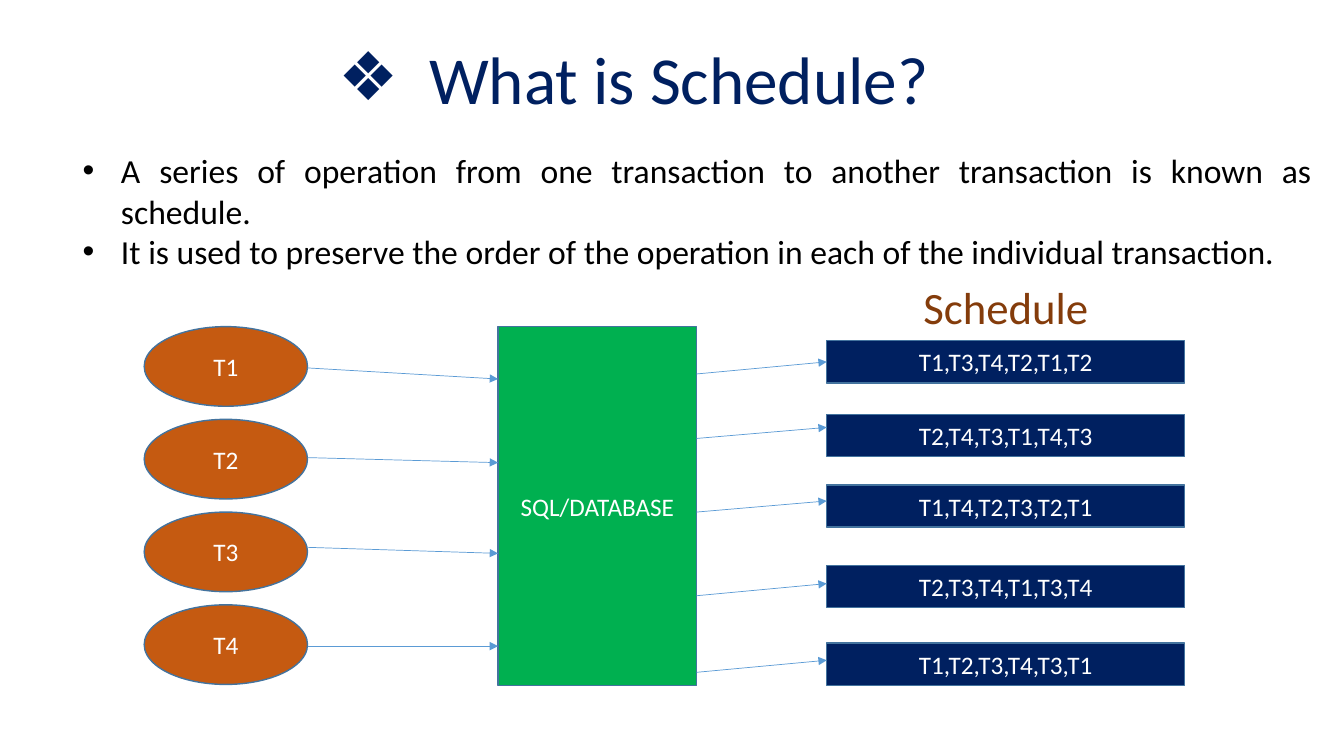
from dataclasses import dataclass

from lxml.etree import SubElement
from pptx import Presentation
from pptx.dml.color import RGBColor
from pptx.enum.shapes import MSO_CONNECTOR, MSO_SHAPE
from pptx.enum.text import MSO_ANCHOR, MSO_AUTO_SIZE, PP_ALIGN
from pptx.oxml.ns import qn
from pptx.util import Inches, Pt


@dataclass(frozen=True)
class Theme:
    font: str = "Calibri"
    navy: str = "002060"
    black: str = "000000"
    white: str = "FFFFFF"
    orange: str = "C55A11"
    green: str = "00B050"
    brown: str = "843C0B"
    outline: str = "43739E"
    arrow: str = "5B9BD5"
    title_size: int = 48
    heading_size: int = 32
    body_size: int = 24
    label_size: int = 18


THEME = Theme()

TITLE = "What is Schedule?"
POINTS = [
    "A series of operation from one transaction to another transaction is known as schedule.",
    "It is used to preserve the order of the operation in each of the individual transaction.",
]

# Columns of the diagram: left edge and width
OVAL_LEFT, OVAL_WIDTH = 1.43, 1.62
DATABASE_LEFT, DATABASE_WIDTH = 4.94, 1.97
SCHEDULE_LEFT, SCHEDULE_WIDTH = 8.2, 3.55
DIAGRAM_TOP, OVAL_PITCH = 3.24, 0.92

# Label, then heights where its arrow starts and ends
TRANSACTIONS = [
    ("T1", 3.65, 3.76),
    ("T2", 4.54, 4.59),
    ("T3", 5.43, 5.49),
    ("T4", 6.41, 6.41),
]
# Order of operations, top of its box, then heights where its arrow starts and ends
SCHEDULES = [
    ("T1,T3,T4,T2,T1,T2", 3.38, 3.71, 3.59),
    ("T2,T4,T3,T1,T4,T3", 4.11, 4.35, 4.24),
    ("T1,T4,T2,T3,T2,T1", 4.81, 5.08, 4.97),
    ("T2,T3,T4,T1,T3,T4", 5.61, 5.91, 5.79),
    ("T1,T2,T3,T4,T3,T1", 6.38, 6.67, 6.55),
]


def place(shape, left, top, width, height):
    shape.left, shape.top = Inches(left), Inches(top)
    shape.width, shape.height = Inches(width), Inches(height)


def format_text(tf, size, color, align, anchor=MSO_ANCHOR.TOP):
    tf.word_wrap = True
    tf.auto_size = MSO_AUTO_SIZE.NONE
    tf.vertical_anchor = anchor
    for p in tf.paragraphs:
        p.alignment = align
        p.space_before = Pt(0)
        for r in p.runs:
            r.font.name = THEME.font
            r.font.size = Pt(size)
            r.font.color.rgb = RGBColor.from_string(color)


def add_bullets(tf, char, indent):
    """Give every paragraph a bullet and a hanging indent in inches."""
    for p in tf.paragraphs:
        pPr = p._p.get_or_add_pPr()
        pPr.set("marL", str(Inches(indent)))
        pPr.set("indent", str(-Inches(indent)))
        SubElement(pPr, qn("a:buFont")).set("typeface", "Arial")
        SubElement(pPr, qn("a:buChar")).set("char", char)


def fill_placeholder(shape, text, box, size, color, align, char, indent):
    place(shape, *box)
    tf = shape.text_frame
    tf.text = text
    format_text(tf, size, color, align)
    add_bullets(tf, char, indent)


def add_node(s, kind, text, box, fill):
    shape = s.shapes.add_shape(kind, *map(Inches, box))
    shape.shadow.inherit = False
    shape.fill.solid()
    shape.fill.fore_color.rgb = RGBColor.from_string(fill)
    shape.line.color.rgb = RGBColor.from_string(THEME.outline)
    shape.line.width = Pt(1)
    shape.text_frame.text = text
    format_text(shape.text_frame, THEME.label_size, THEME.white,
                PP_ALIGN.CENTER, MSO_ANCHOR.MIDDLE)


def add_arrow(s, x1, y1, x2, y2):
    arrow = s.shapes.add_connector(MSO_CONNECTOR.STRAIGHT, *map(Inches, (x1, y1, x2, y2)))
    arrow.line.color.rgb = RGBColor.from_string(THEME.arrow)
    arrow.line.width = Pt(0.5)
    spPr = arrow._element.spPr
    SubElement(spPr.find(qn("a:ln")), qn("a:tailEnd")).set("type", "triangle")
    SubElement(spPr, qn("a:effectLst"))


def add_heading(s, text, box):
    tf = s.shapes.add_textbox(*map(Inches, box)).text_frame
    tf.text = text
    format_text(tf, THEME.heading_size, THEME.brown, PP_ALIGN.LEFT)


def main():
    prs = Presentation()
    prs.slide_width, prs.slide_height = Inches(13.33), Inches(7.5)
    s = prs.slides.add_slide(prs.slide_layouts[1])

    fill_placeholder(s.shapes.title, TITLE, (0.42, 0.32, 11.73, 2.52),
                     THEME.title_size, THEME.navy, PP_ALIGN.CENTER, "❖", 0.9)
    fill_placeholder(s.placeholders[1], "\n".join(POINTS), (0.72, 1.44, 12.39, 1.31),
                     THEME.body_size, THEME.black, PP_ALIGN.JUSTIFY, "•", 0.38)

    add_node(s, MSO_SHAPE.RECTANGLE, "SQL/DATABASE",
             (DATABASE_LEFT, DIAGRAM_TOP, DATABASE_WIDTH, 3.56), THEME.green)

    for i, (name, start, end) in enumerate(TRANSACTIONS):
        add_node(s, MSO_SHAPE.OVAL, name,
                 (OVAL_LEFT, DIAGRAM_TOP + OVAL_PITCH * i, OVAL_WIDTH, 0.79), THEME.orange)
        add_arrow(s, OVAL_LEFT + OVAL_WIDTH, start, DATABASE_LEFT, end)

    add_heading(s, "Schedule", (9.06, 2.73, 3.1, 0.64))
    for order, top, start, end in SCHEDULES:
        add_node(s, MSO_SHAPE.RECTANGLE, order,
                 (SCHEDULE_LEFT, top, SCHEDULE_WIDTH, 0.42), THEME.navy)
        add_arrow(s, DATABASE_LEFT + DATABASE_WIDTH, start, SCHEDULE_LEFT, end)

    prs.save("out.pptx")


if __name__ == "__main__":
    main()
